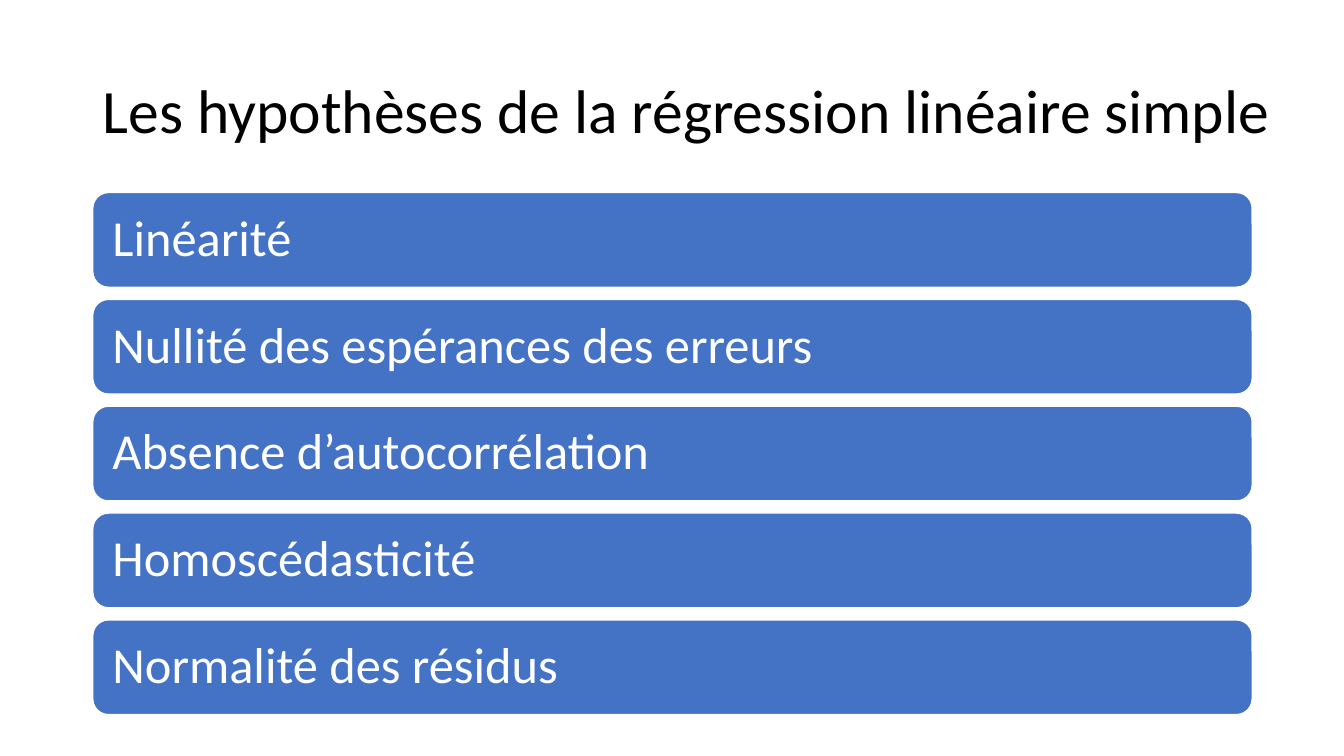
from dataclasses import dataclass

from pptx import Presentation
from pptx.dml.color import RGBColor
from pptx.enum.shapes import MSO_SHAPE
from pptx.enum.text import MSO_ANCHOR, MSO_AUTO_SIZE, PP_ALIGN
from pptx.slide import Slide
from pptx.text.text import TextFrame
from pptx.util import Inches, Pt

COLORS = {"title": "000000", "bar": "4472C4", "bar_text": "FFFFFF", "outline": "FFFFFF"}
FONT = "Calibri"
LEFT = 0.92
BAR_WIDTH, BAR_HEIGHT = 11.5, 0.94
FIRST_BAR_TOP, BAR_PITCH = 1.91, 1.06
BAR_INSET = 0.15

TITLE = "Les hypothèses de la régression linéaire simple"
HYPOTHESES = [
    "Linéarité",
    "Nullité des espérances des erreurs",
    "Absence d’autocorrélation",
    "Homoscédasticité",
    "Normalité des résidus",
]


@dataclass
class HypothesisBar:
    text: str
    top: float


def color(name: str) -> RGBColor:
    return RGBColor.from_string(COLORS[name])


def write_line(frame: TextFrame, text: str, size: int, color_name: str) -> None:
    """Set one left-aligned, vertically centred line of text."""
    frame.text = text
    frame.word_wrap = True
    frame.auto_size = MSO_AUTO_SIZE.NONE
    frame.vertical_anchor = MSO_ANCHOR.MIDDLE
    para = frame.paragraphs[0]
    para.alignment = PP_ALIGN.LEFT
    para.line_spacing = 0.9
    para.font.name = FONT
    para.font.size = Pt(size)
    para.font.color.rgb = color(color_name)


def add_title(page: Slide) -> None:
    title = page.shapes.title
    title.left, title.top = Inches(LEFT), Inches(0.4)
    title.width, title.height = Inches(11.89), Inches(1.45)
    write_line(title.text_frame, TITLE, 44, "title")


def add_bar(page: Slide, bar: HypothesisBar) -> None:
    box = page.shapes.add_shape(
        MSO_SHAPE.ROUNDED_RECTANGLE,
        Inches(LEFT), Inches(bar.top), Inches(BAR_WIDTH), Inches(BAR_HEIGHT),
    )
    box.shadow.inherit = False
    box.fill.solid()
    box.fill.fore_color.rgb = color("bar")
    box.line.color.rgb = color("outline")
    box.line.width = Pt(1)
    frame = box.text_frame
    frame.margin_left = frame.margin_right = Inches(BAR_INSET)
    frame.margin_top = frame.margin_bottom = Inches(BAR_INSET)
    write_line(frame, bar.text, 36, "bar_text")


def main() -> None:
    deck = Presentation()
    deck.slide_width, deck.slide_height = Inches(13.33), Inches(7.5)
    page = deck.slides.add_slide(deck.slide_layouts.get_by_name("Title Only"))
    add_title(page)
    for row, text in enumerate(HYPOTHESES):
        add_bar(page, HypothesisBar(text, FIRST_BAR_TOP + row * BAR_PITCH))
    deck.save("out.pptx")


if __name__ == "__main__":
    main()
